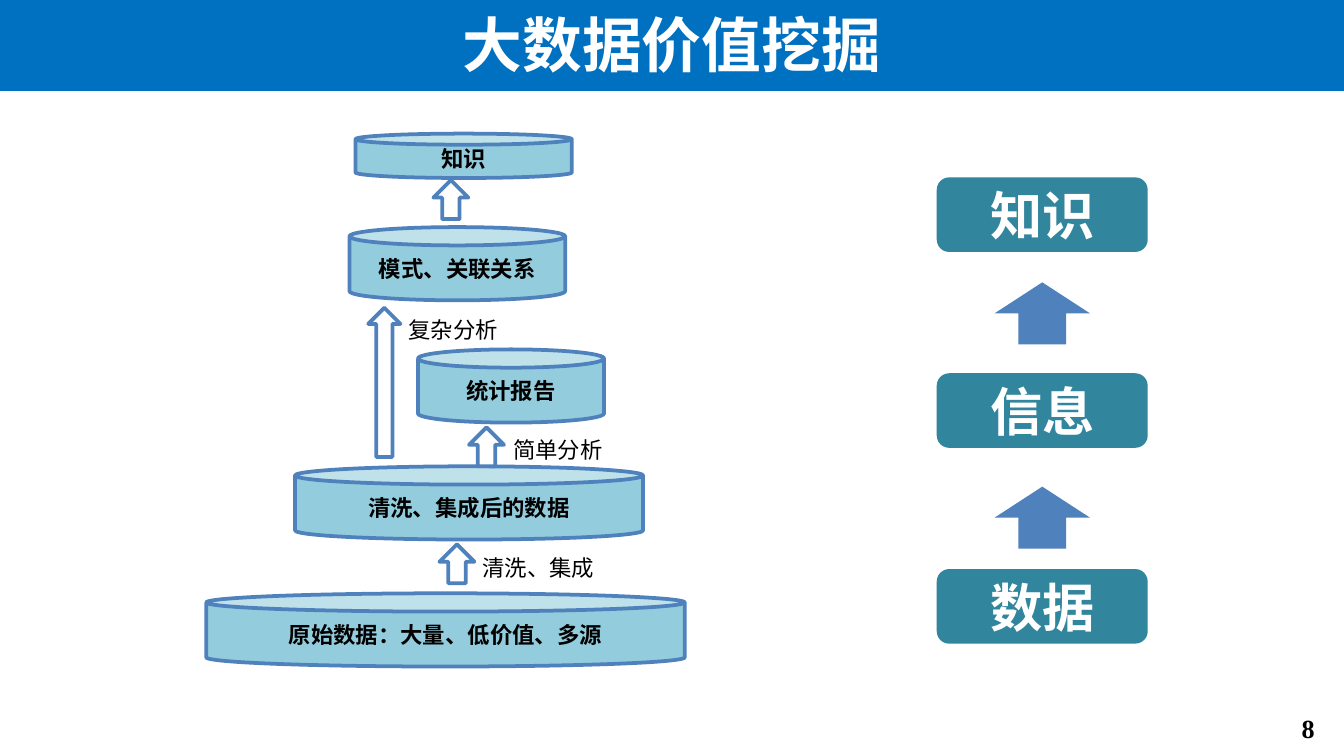
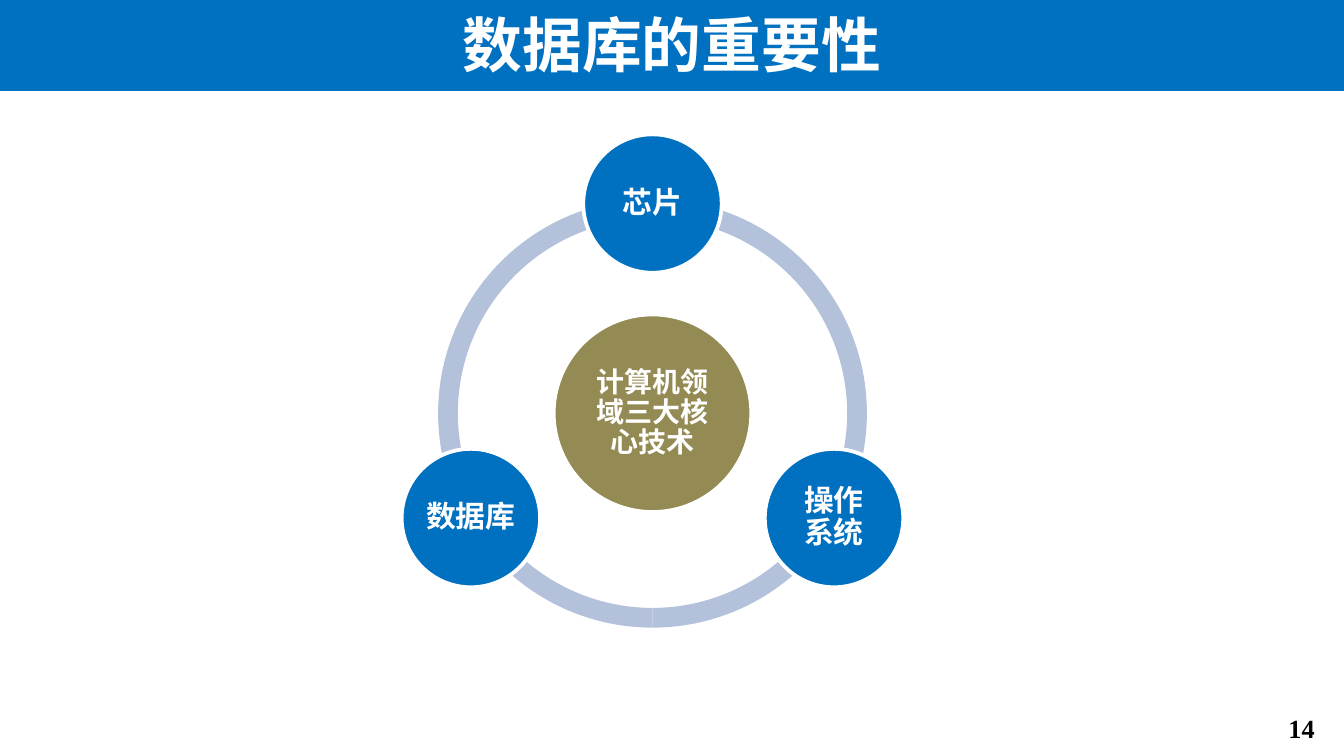
from dataclasses import dataclass
from math import cos, radians, sin

from pptx import Presentation
from pptx import util as u
from pptx.dml.color import RGBColor
from pptx.enum import shapes, text
from pptx.oxml.ns import qn

WIDTH = 10
HEIGHT = WIDTH * 9 / 16
TITLE_ONLY = 5

WHITE = RGBColor(0xFF, 0xFF, 0xFF)
BLACK = RGBColor(0x00, 0x00, 0x00)
BAND_BLUE = RGBColor(0x00, 0x70, 0xC0)
ARROW_BLUE = RGBColor(0x4F, 0x81, 0xBD)
CAN_BLUE = RGBColor(0x93, 0xCD, 0xDD)
RUNG_TEAL = RGBColor(0x31, 0x85, 0x9C)
RING_GREY = RGBColor(0xB3, 0xC1, 0xDB)
HUB_OLIVE = RGBColor(0x94, 0x8A, 0x54)

CJK, LATIN, NUMERAL = "Noto Sans CJK SC", "Arial", "Times New Roman"
KIND = shapes.MSO_SHAPE
CENTER, LEFT, RIGHT = text.PP_ALIGN.CENTER, text.PP_ALIGN.LEFT, text.PP_ALIGN.RIGHT


@dataclass
class Box:
    """A region in inches, divided into a grid of columns and rows."""
    left: float
    top: float
    width: float
    height: float
    columns: int = 1
    rows: int = 1

    def cell(self, column, row, across, down):
        col_size, row_size = self.width / self.columns, self.height / self.rows
        return Box(self.left + column * col_size, self.top + row * row_size,
                   across * col_size, down * row_size)

    def centered(self, x, y, size):
        """A square around a point given in inches from the region's centre."""
        return Box(self.left + self.width / 2 + x - size / 2,
                   self.top + self.height / 2 + y - size / 2, size, size)

    def emu(self):
        return [u.Inches(v) for v in (self.left, self.top, self.width, self.height)]


# A grid of tenths of an inch across the whole slide
SLIDE = Box(0, 0, WIDTH, HEIGHT, columns=100, rows=56.25)


def write(frame, lines, size, color, font=CJK, bold=True, align=CENTER,
          before=0, after=0, spacing=None):
    frame.word_wrap = True
    for i, line in enumerate(lines):
        paragraph = frame.paragraphs[0] if i == 0 else frame.add_paragraph()
        paragraph.alignment = align
        paragraph.space_before, paragraph.space_after = u.Pt(before), u.Pt(after)
        if spacing:
            paragraph.line_spacing = spacing
        run = paragraph.add_run()
        run.text = line
        run.font.size, run.font.bold, run.font.name = u.Pt(size), bold, font
        run.font.color.rgb = color
        # East Asian glyphs take their own typeface setting
        east_asian = run.font._element.makeelement(qn("a:ea"), {"typeface": CJK})
        run.font._element.find(qn("a:latin")).addnext(east_asian)


def draw(slide, kind, box, fill, line=None):
    shape = slide.shapes.add_shape(kind, *box.emu())
    shape.shadow.inherit = False
    shape.fill.solid()
    shape.fill.fore_color.rgb = fill
    if line is None:
        shape.line.fill.background()
    else:
        shape.line.color.rgb = line
        shape.line.width = u.Pt(2)
    shape.text_frame.vertical_anchor = text.MSO_ANCHOR.MIDDLE
    return shape


def label(slide, box, words, size, **style):
    frame = slide.shapes.add_textbox(*box.emu()).text_frame
    write(frame, [words], size, BLACK, **style)


def new_slide(deck, heading, number):
    slide = deck.slides.add_slide(deck.slide_layouts[TITLE_ONLY])
    # Page number
    label(slide, SLIDE.cell(92.5, 52.5, 6.3, 3.4), number, 14,
          font=NUMERAL, align=RIGHT, before=2.8)
    # Title band
    band = slide.shapes.title
    band.left, band.top, band.width, band.height = SLIDE.cell(0, -0.23, 100, 7).emu()
    band.fill.solid()
    band.fill.fore_color.rgb = BAND_BLUE
    band.text_frame.auto_size = text.MSO_AUTO_SIZE.NONE
    band.text_frame.vertical_anchor = text.MSO_ANCHOR.MIDDLE
    write(band.text_frame, [heading], 32, WHITE)
    return slide


def mining_flow(slide, box):
    """Data stores joined by outlined arrows, from raw data up to knowledge."""
    stores = [
        ("原始数据：大量、低价值、多源", 0.35, 34.15, 35.6, 5.45),
        ("清洗、集成后的数据", 6.95, 24.7, 25.9, 5.45),
        ("统计报告", 16.1, 16, 13.85, 5.45),
        ("模式、关联关系", 11, 6.9, 16.05, 5.45),
        ("知识", 11.45, -0.05, 16.1, 3.3),
    ]
    short_arrows = [(17.7, 30.5), (19.9, 21.8), (17.25, 3.4)]
    steps = [("简单分析", 22.2, 21.95), ("复杂分析", 14.4, 13.05), ("清洗、集成", 19.9, 30.75)]

    for name, *place in stores:
        can = draw(slide, KIND.CAN, box.cell(*place), CAN_BLUE, ARROW_BLUE)
        write(can.text_frame, [name], 12, BLACK)
    arrows = [(12.4, 12.9, 2.4, 11.1)] + [(*spot, 2.6, 2.9) for spot in short_arrows]
    for place in arrows:
        draw(slide, KIND.UP_ARROW, box.cell(*place), WHITE, ARROW_BLUE)
    for name, column, row in steps:
        label(slide, box.cell(column, row, 10.9, 3), name, 12, bold=False, align=LEFT)


def knowledge_ladder(slide, box):
    """Three rungs spread over the full height, with an arrow in each gap."""
    rung_height = 0.16
    rungs = ["知识", "信息", "数据"]
    pitch = (1 - rung_height) / (len(rungs) - 1)
    for i, name in enumerate(rungs):
        rung = draw(slide, KIND.ROUNDED_RECTANGLE,
                    box.cell(0, i * pitch, 1, rung_height), RUNG_TEAL)
        write(rung.text_frame, [name], 28, WHITE, font=LATIN, before=5.6)
    for top in (0.225, 0.663):
        arrow = draw(slide, KIND.DOWN_ARROW, box.cell(0.274, top, 0.452, 0.133), ARROW_BLUE)
        arrow.rotation = 180


def technology_ring(slide, box):
    """A hub with its technologies spaced evenly on a ring around it."""
    orbit = 1.56

    # Ring segments, as start and end angles
    for start, end in ((90, 162), (18, 90), (162, 18)):
        arc = draw(slide, KIND.BLOCK_ARC, box, RING_GREY)
        arc.adjustments[0] = start * 0.6
        arc.adjustments[1] = end * 0.6
        arc.adjustments[2] = 0.046

    def disc(lines, x, y, size, fill, font_size):
        circle = draw(slide, KIND.OVAL, box.centered(x, y, size), fill, WHITE)
        frame = circle.text_frame
        frame.margin_left = frame.margin_right = u.Inches(0.02)
        frame.margin_top = frame.margin_bottom = u.Inches(0.02)
        write(frame, lines, font_size, WHITE, spacing=0.9,
              after=font_size * 0.35 if len(lines) == 1 else 0)

    # Hub, then technologies clockwise from the top
    disc(["计算机领域三大核心技术"], 0, 0, 1.47, HUB_OLIVE, 15)
    technologies = [["芯片"], ["操作", "系统"], ["数据库"]]
    for i, lines in enumerate(technologies):
        angle = radians(i * 360 / len(technologies) - 90)
        disc(lines, orbit * cos(angle), orbit * sin(angle), 1.03, BAND_BLUE, 16)


def main():
    deck = Presentation()
    deck.slide_width, deck.slide_height = u.Inches(WIDTH), u.Inches(HEIGHT)

    mining = new_slide(deck, "大数据价值挖掘", "8")
    mining_flow(mining, Box(1.5, 1, 4, 4, columns=40, rows=40))
    knowledge_ladder(mining, Box(6.97, 1.32, 1.57, 3.47))

    importance = new_slide(deck, "数据库的重要性", "14")
    technology_ring(importance, Box(3.26, 1.48, 3.19, 3.19))

    deck.save("out.pptx")


if __name__ == "__main__":
    main()
